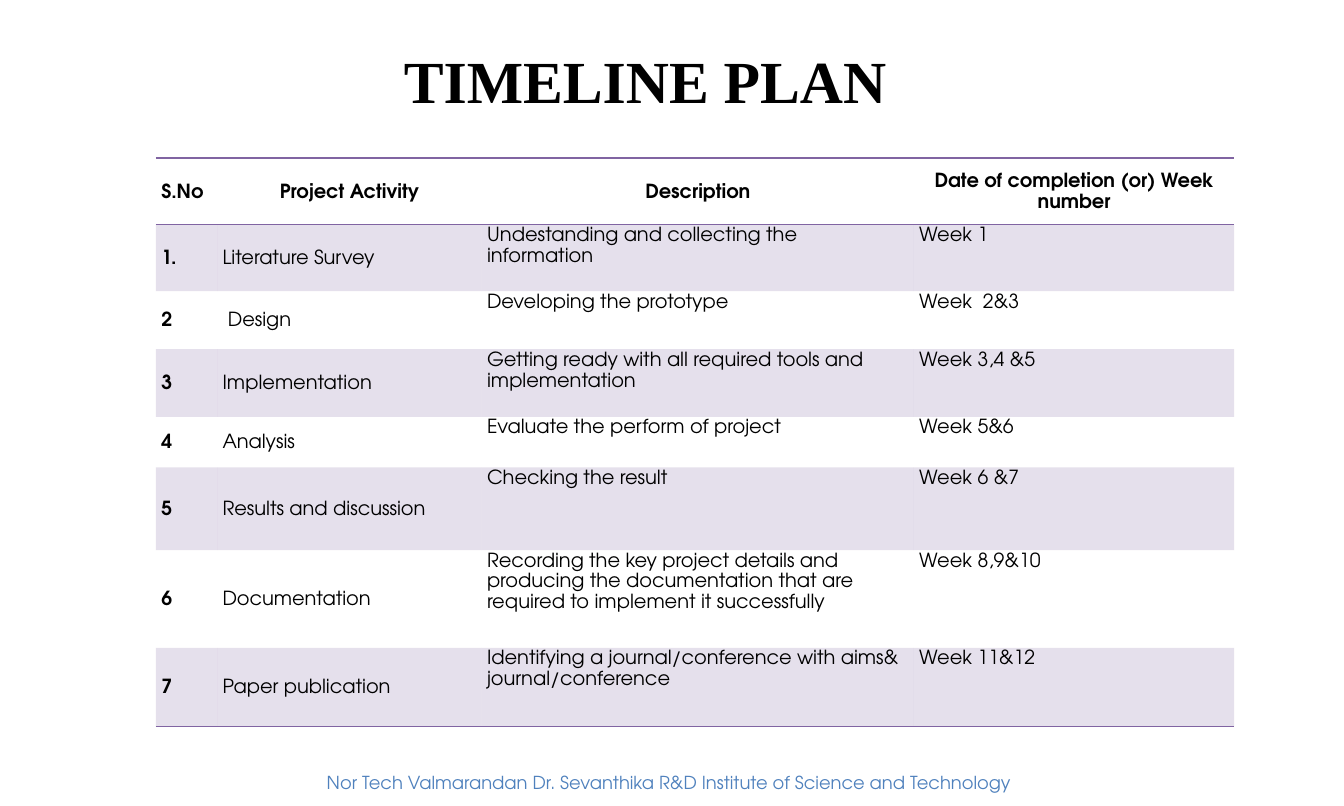
from dataclasses import dataclass

from lxml import etree
from pptx import Presentation
from pptx import util as u
from pptx.dml.color import RGBColor
from pptx.enum import text
from pptx.oxml.ns import qn


@dataclass(frozen=True)
class Theme:
    heading_font: str = "Times New Roman"
    body_font: str = "TeX Gyre Adventor"
    ink: str = "000000"
    accent: str = "8064A2"
    footer: str = "4F81BD"
    band_opacity: int = 20
    rule_width: float = 1
    title_size: int = 40
    table_size: int = 13
    footer_size: int = 12


THEME = Theme()
PLAIN_TABLE = "{2D5ABB26-0587-4C30-8999-92F81FD0307C}"
SLIDE_SIZE = (12.5, 7.5)

# Boxes: left, top, width, height in inches
TITLE_BOX = (3.42, 0.4, 5.16, 0.69)
PLAN_BOX = (1.45, 1.47, 10.03, 5.29)
FOOTER_BOX = (2.94, 7.13, 9.56, 0.3)

# Table grid in inches
COLUMNS = (0.57, 2.46, 4.02, 2.98)
ROWS = (0.62, 0.62, 0.54, 0.63, 0.47, 0.77, 0.91, 0.73)

HEADINGS = ("S.No", "Project Activity", "Description",
            "Date of completion (or) Week number")
ACTIVITIES = (
    ("1.", "Literature Survey", "Undestanding and collecting the information", "Week 1"),
    ("2", " Design", "Developing the prototype", "Week  2&3"),
    ("3", "Implementation", "Getting ready with all required tools and implementation",
     "Week 3,4 &5"),
    ("4", "Analysis", "Evaluate the perform of project", "Week 5&6"),
    ("5", "Results and discussion", "Checking the result", "Week 6 &7"),
    ("6", "Documentation", "Recording the key project details and producing the "
     "documentation that are required to implement it successfully", "Week 8,9&10"),
    ("7", "Paper publication", "Identifying a journal/conference with aims& "
     "journal/conference", "Week 11&12"),
)
INSTITUTE = "Nor Tech Valmarandan Dr. Sevanthika R&D Institute of Science and Technology"


def inches(box):
    return [u.Inches(length) for length in box]


def write(frame, words, *, size, font=THEME.body_font, color=THEME.ink, bold=False,
          align=text.PP_ALIGN.LEFT, line=None, before=None, after=None):
    paragraph = frame.paragraphs[0]
    paragraph.alignment = align
    if line:
        paragraph.line_spacing = line
    if before:
        paragraph.space_before = u.Pt(before)
    if after:
        paragraph.space_after = u.Pt(after)
    run = paragraph.add_run()
    run.text = words
    run.font.name, run.font.size, run.font.bold = font, u.Pt(size), bold
    run.font.color.rgb = RGBColor.from_string(color)


def text_box(slide, box, words, insets=(0.1, 0.05, 0.1, 0.05), **form):
    frame = slide.shapes.add_textbox(*inches(box)).text_frame
    frame.word_wrap = True
    (frame.margin_left, frame.margin_top,
     frame.margin_right, frame.margin_bottom) = inches(insets)
    write(frame, words, **form)


def shade(cell):
    cell.fill.solid()
    cell.fill.fore_color.rgb = RGBColor.from_string(THEME.accent)
    color = cell._tc.tcPr.find(qn("a:solidFill"))[0]
    etree.SubElement(color, qn("a:alpha"), val=str(THEME.band_opacity * 1000))


def rule(cell, sides):
    # Borders come before the fill in the cell properties
    for place, side in enumerate(sides):
        border = etree.Element(qn(f"a:ln{side}"), w=str(u.Pt(THEME.rule_width)))
        fill = etree.SubElement(border, qn("a:solidFill"))
        etree.SubElement(fill, qn("a:srgbClr"), val=THEME.accent)
        cell._tc.tcPr.insert(place, border)


def plan_cell(cell, words, row, column):
    heading = row == 0
    cell.margin_left = cell.margin_right = u.Inches(0.05)
    cell.margin_top = cell.margin_bottom = 0
    cell.vertical_anchor = (text.MSO_ANCHOR.MIDDLE if heading or column < 2
                            else text.MSO_ANCHOR.TOP)
    write(cell.text_frame, words, size=THEME.table_size,
          bold=heading or column == 0, line=1.15, after=10,
          align=text.PP_ALIGN.CENTER if heading and column else text.PP_ALIGN.LEFT)
    if row % 2:
        shade(cell)
    else:
        cell.fill.background()
    if heading:
        rule(cell, "TB")
    elif row == len(ACTIVITIES):
        rule(cell, "B")


def plan_table(slide, box):
    plan = slide.shapes.add_table(len(ROWS), len(COLUMNS), *inches(box)).table
    plan.first_row = plan.horz_banding = False
    plan._tbl.tblPr.find(qn("a:tableStyleId")).text = PLAIN_TABLE
    for column, width in zip(plan.columns, COLUMNS):
        column.width = u.Inches(width)
    for row, height in zip(plan.rows, ROWS):
        row.height = u.Inches(height)
    for row, entries in enumerate((HEADINGS, *ACTIVITIES)):
        for column, words in enumerate(entries):
            plan_cell(plan.cell(row, column), words, row, column)


def timeline_slide(deck):
    slide = deck.slides.add_slide(deck.slide_layouts[6])
    # Title
    text_box(slide, TITLE_BOX, "TIMELINE PLAN", insets=(0, 0.01, 0, 0),
             size=THEME.title_size, font=THEME.heading_font, bold=True,
             align=text.PP_ALIGN.CENTER, before=0.9)
    # Activities by week
    plan_table(slide, PLAN_BOX)
    # Footer
    text_box(slide, FOOTER_BOX, INSTITUTE, size=THEME.footer_size, color=THEME.footer)


def main():
    deck = Presentation()
    deck.slide_width, deck.slide_height = inches(SLIDE_SIZE)
    timeline_slide(deck)
    deck.save("out.pptx")


if __name__ == "__main__":
    main()
